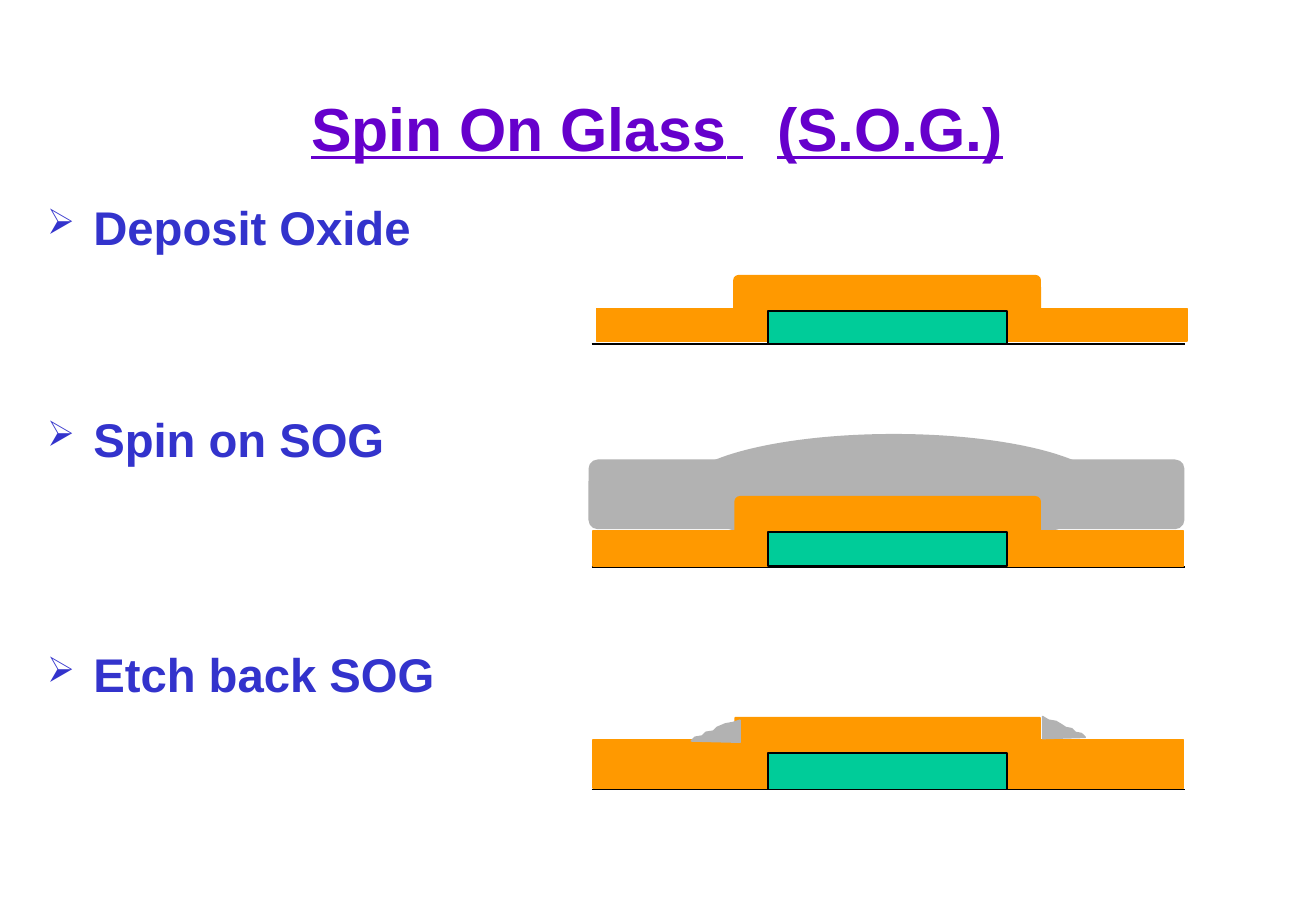
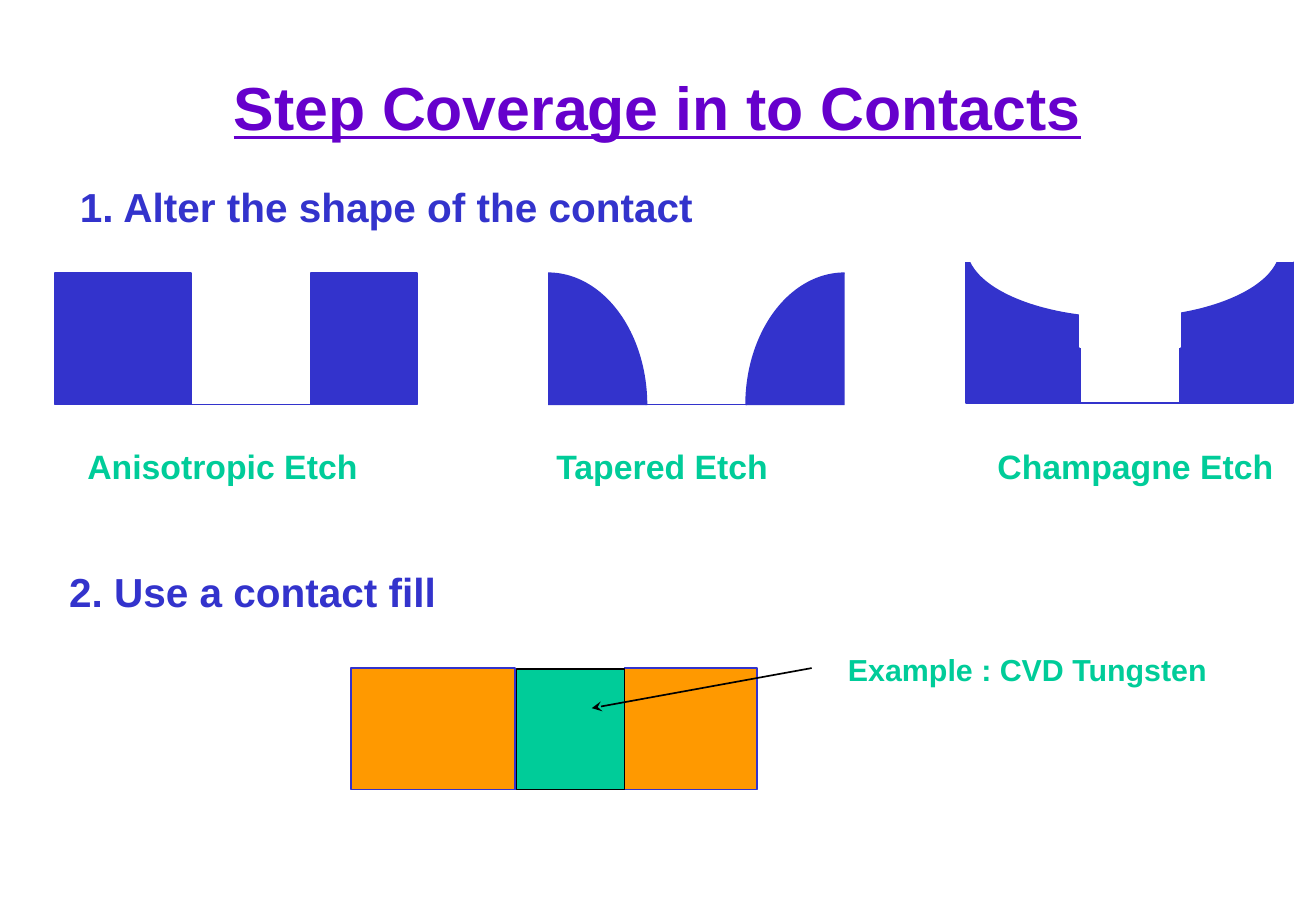
from dataclasses import dataclass
from typing import NamedTuple

from lxml import etree
from pptx import Presentation
from pptx.dml.color import RGBColor
from pptx.enum.shapes import MSO_CONNECTOR, MSO_SHAPE
from pptx.enum.text import MSO_ANCHOR, MSO_AUTO_SIZE, PP_ALIGN
from pptx.oxml.ns import qn
from pptx.util import Emu, Pt

RECT = MSO_SHAPE.RECTANGLE
ROUND = MSO_SHAPE.ROUNDED_RECTANGLE
OVAL = MSO_SHAPE.OVAL
ARC = MSO_SHAPE.ARC
STRAIGHT = MSO_CONNECTOR.STRAIGHT
LEFT, CENTER = PP_ALIGN.LEFT, PP_ALIGN.CENTER
TOP, MIDDLE = MSO_ANCHOR.TOP, MSO_ANCHOR.MIDDLE
FIT, FIXED = MSO_AUTO_SIZE.SHAPE_TO_FIT_TEXT, MSO_AUTO_SIZE.NONE

EMU_PER_PX = 9144


@dataclass(frozen=True)
class Theme:
    font: str = "Arial"
    purple: str = "6600CC"
    blue: str = "3333CC"
    green: str = "00CC99"
    orange: str = "FF9900"
    grey: str = "B2B2B2"
    black: str = "000000"
    white: str = "FFFFFF"
    title: int = 36
    bullet: int = 28
    heading: int = 24
    caption: int = 20
    note: int = 18
    line: int = 1


THEME = Theme()


class Box(NamedTuple):
    left: int
    top: int
    width: int
    height: int


class Point(NamedTuple):
    x: int
    y: int


@dataclass(frozen=True)
class FilmStack:
    step: Box
    rounding: float
    base: Box
    metal: Box
    substrate_y: int


class Step(NamedTuple):
    text: str
    space_before: int


class Label(NamedTuple):
    text: str
    box: Box
    size: int
    color: str


STACKS = [
    FilmStack(Box(604, 227, 252, 31), 0.125, Box(491, 254, 486, 27), Box(632, 256, 197, 27), 283),
    FilmStack(Box(605, 409, 251, 32), 0.125, Box(488, 437, 486, 29), Box(632, 438, 197, 28), 467),
    FilmStack(Box(605, 591, 251, 34), 0.01, Box(488, 609, 486, 40), Box(632, 620, 197, 30), 650),
]
STEPS = [Step("Deposit Oxide", 0), Step("Spin on SOG", 92), Step("Etch back SOG", 106)]
SOG_LEFT = [(609, 595), (609, 593), (603, 595), (597, 596), (590, 599), (587, 602),
            (581, 603), (578, 606), (572, 607), (569, 610), (609, 611)]
SOG_RIGHT = [(858, 593), (858, 590), (863, 593), (869, 594), (874, 597), (877, 599),
             (882, 600), (885, 603), (890, 604), (893, 607), (858, 608)]
LABELS = [
    Label("Anisotropic Etch", Box(62, 362, 243, 43), THEME.caption, THEME.green),
    Label("Tapered Etch", Box(448, 362, 197, 43), THEME.caption, THEME.green),
    Label("Champagne Etch", Box(811, 362, 248, 43), THEME.caption, THEME.green),
    Label("1. Alter the shape of the contact", Box(56, 145, 526, 50), THEME.heading, THEME.blue),
    Label("2. Use a contact fill", Box(47, 462, 322, 50), THEME.heading, THEME.blue),
    Label("Example : CVD Tungsten", Box(688, 531, 318, 40), THEME.note, THEME.green),
]


def px(n: int) -> Emu:
    return Emu(n * EMU_PER_PX)


def paint(sp, fill: str, line: str) -> None:
    sp.shadow.inherit = False
    sp.fill.solid()
    sp.fill.fore_color.rgb = RGBColor.from_string(fill)
    sp.line.color.rgb = RGBColor.from_string(line)
    sp.line.width = Pt(THEME.line)


def add_shape(s, kind, box: Box, fill: str, line: str = "", adjust: tuple = ()):
    sp = s.shapes.add_shape(kind, *map(px, box))
    for i, value in enumerate(adjust):
        sp.adjustments[i] = value
    paint(sp, fill, line or fill)
    return sp


def add_outline(s, points: list, fill: str, line: str) -> None:
    builder = s.shapes.build_freeform(*points[0], scale=EMU_PER_PX)
    builder.add_line_segments(points[1:], close=True)
    paint(builder.convert_to_shape(), fill, line)


def add_line(s, start: Point, end: Point, color: str, head: str = "") -> None:
    cxn = s.shapes.add_connector(STRAIGHT, *map(px, start + end))
    cxn.line.color.rgb = RGBColor.from_string(color)
    cxn.line.width = Pt(THEME.line)
    if head:
        etree.SubElement(cxn.line._get_or_add_ln(), qn("a:headEnd"), type=head)
    etree.SubElement(cxn._element.spPr, qn("a:effectLst"))


def add_run(p, text: str, *, size: int, color: str, underline: bool = False,
            spacing: int = 0) -> None:
    r = p.add_run()
    r.text = text
    r.font.name = THEME.font
    r.font.size = Pt(size)
    r.font.bold = True
    r.font.color.rgb = RGBColor.from_string(color)
    if underline:
        r.font.underline = True
    if spacing:
        r.font._element.set("spc", str(spacing * 100))


def add_frame(s, box: Box, *, wrap: bool = True, anchor=TOP, align=LEFT):
    tf = s.shapes.add_textbox(*map(px, box)).text_frame
    tf.word_wrap = wrap
    tf.auto_size = FIXED if wrap else FIT
    tf.vertical_anchor = anchor
    tf.paragraphs[0].alignment = align
    return tf


def add_title(s, top: int, *parts: str) -> None:
    p = add_frame(s, Box(81, top, 920, 125), anchor=MIDDLE, align=CENTER).paragraphs[0]
    for i, part in enumerate(parts):
        if i:
            add_run(p, " ", size=THEME.title, color=THEME.purple, underline=True, spacing=20)
        add_run(p, part, size=THEME.title, color=THEME.purple, underline=True)


def add_bullet(p) -> None:
    pPr = p._p.get_or_add_pPr()
    pPr.set("marL", str(px(38)))
    pPr.set("indent", str(px(-38)))
    color = etree.SubElement(pPr, qn("a:buClr"))
    etree.SubElement(color, qn("a:srgbClr"), val=THEME.blue)
    etree.SubElement(pPr, qn("a:buSzPct"), val="75000")
    etree.SubElement(pPr, qn("a:buChar"), char="➢")


def add_steps(s, box: Box, steps: list[Step]) -> None:
    tf = add_frame(s, box)
    for i, step in enumerate(steps):
        p = tf.add_paragraph() if i else tf.paragraphs[0]
        add_bullet(p)
        p.space_before = Pt(step.space_before)
        add_run(p, step.text, size=THEME.bullet, color=THEME.blue)


def add_stack(s, stack: FilmStack) -> None:
    add_shape(s, ROUND, stack.step, THEME.orange, adjust=(stack.rounding,))
    add_line(s, Point(487, stack.substrate_y), Point(975, stack.substrate_y), THEME.black)
    add_shape(s, RECT, stack.base, THEME.orange)
    add_shape(s, RECT, stack.metal, THEME.green, THEME.black)


def trench(left: int, wall: int, far_wall: int, right: int, top: int, bottom: int) -> list:
    return [(left, top), (wall, top), (wall, bottom), (far_wall, bottom),
            (far_wall, top), (right, top), (right, bottom), (left, bottom)]


def build_spin_on_glass(s) -> None:
    add_shape(s, ROUND, Box(485, 379, 489, 56), THEME.grey, adjust=(0.125,))
    add_shape(s, OVAL, Box(560, 358, 351, 94), THEME.grey)
    add_title(s, 42, "Spin On Glass", "(S.O.G.)")
    for stack in STACKS:
        add_stack(s, stack)
    for wedge in (SOG_LEFT, SOG_RIGHT):
        add_outline(s, wedge, THEME.grey, THEME.grey)
    add_steps(s, Box(29, 158, 451, 442), STEPS)


def build_contacts(s) -> None:
    blue, white = THEME.blue, THEME.white
    add_title(s, 25, "Step Coverage in to Contacts")
    add_outline(s, trench(45, 157, 256, 343, 225, 333), blue, blue)
    add_shape(s, ARC, Box(614, 225, 162, 217), blue, adjust=(108, 162))
    add_shape(s, ARC, Box(370, 225, 162, 217), blue, adjust=(162, 0))
    add_line(s, Point(460, 333), Point(686, 333), blue)
    add_shape(s, RECT, Box(795, 216, 269, 116), blue)
    add_shape(s, OVAL, Box(795, 146, 259, 116), white, blue)
    add_shape(s, RECT, Box(786, 134, 278, 81), white)
    add_shape(s, RECT, Box(889, 263, 82, 69), white, blue)
    add_shape(s, RECT, Box(889, 252, 82, 34), white)
    for label in LABELS:
        p = add_frame(s, label.box, wrap=False).paragraphs[0]
        add_run(p, label.text, size=label.size, color=label.color)
    add_outline(s, trench(289, 424, 514, 623, 550, 650), THEME.orange, blue)
    add_shape(s, RECT, Box(425, 551, 89, 99), THEME.green, THEME.black)
    add_line(s, Point(487, 583), Point(668, 550), THEME.black, head="stealth")


def main() -> None:
    prs = Presentation()
    prs.slide_width, prs.slide_height = px(1083), px(750)
    for build in (build_spin_on_glass, build_contacts):
        build(prs.slides.add_slide(prs.slide_layouts[6]))
    prs.save("out.pptx")


if __name__ == "__main__":
    main()
